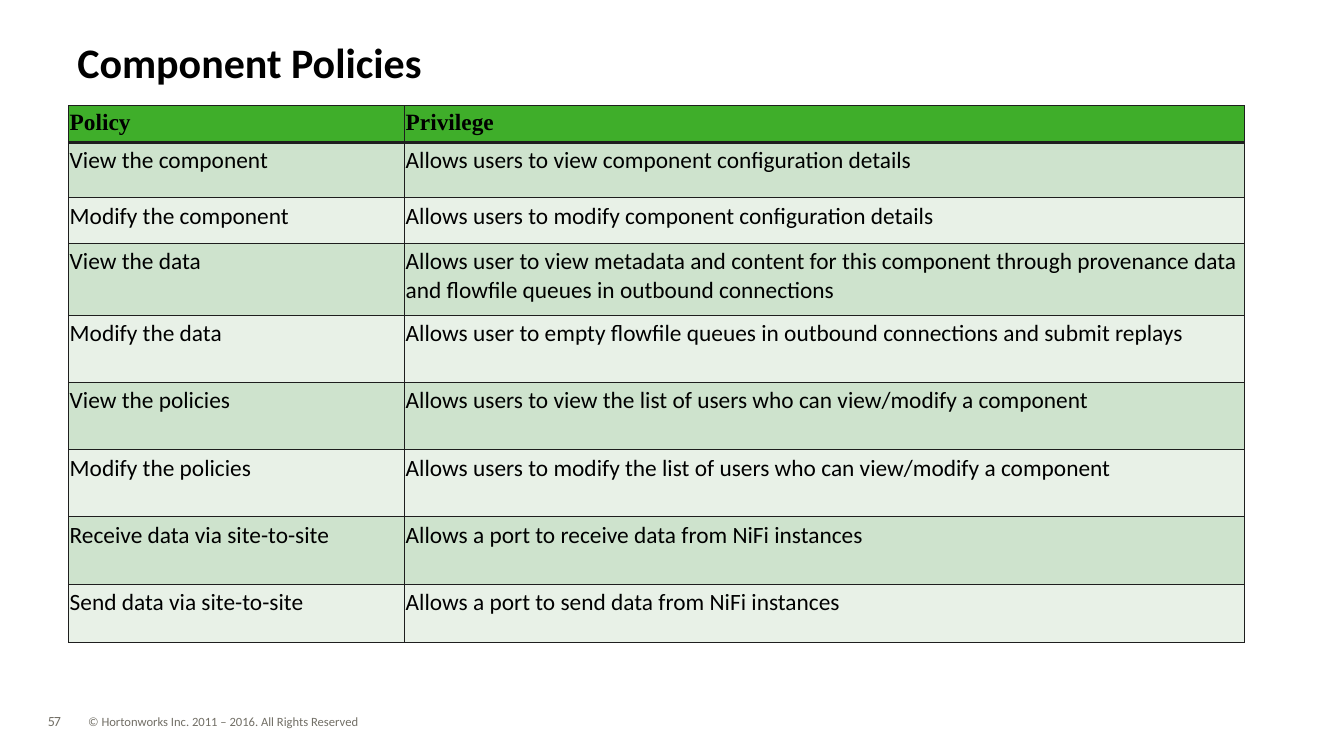
from lxml import etree
from pptx import Presentation
from pptx.dml.color import RGBColor
from pptx.enum.text import MSO_ANCHOR, PP_ALIGN
from pptx.oxml.ns import qn
from pptx.util import Inches, Pt

LEFT = PP_ALIGN.LEFT
TOP, MIDDLE = MSO_ANCHOR.TOP, MSO_ANCHOR.MIDDLE
TITLE_ONLY = 5
COLORS = {
    "text": "000000",
    "footer": "726F66",
    "border": "1E1E1E",
    "header": "3FAE2A",
    "odd_row": "CEE3CD",
    "even_row": "E8F1E7",
}
COLUMN_WIDTHS = [4, 10]
ROW_HEIGHTS = [0.43, 0.66, 0.54, 0.86, 0.8, 0.8, 0.8, 0.8, 0.69]
POLICIES = [
    ("Policy", "Privilege"),
    ("View the component", "Allows users to view component configuration details"),
    ("Modify the component", "Allows users to modify component configuration details"),
    ("View the data", "Allows user to view metadata and content for this component "
     "through provenance data and flowfile queues in outbound connections"),
    ("Modify the data", "Allows user to empty flowfile queues in outbound connections "
     "and submit replays"),
    ("View the policies", "Allows users to view the list of users who can view/modify a component"),
    ("Modify the policies", "Allows users to modify the list of users who can view/modify a component"),
    ("Receive data via site-to-site", "Allows a port to receive data from NiFi instances"),
    ("Send data via site-to-site", "Allows a port to send data from NiFi instances"),
]


class PolicySlide:
    """Hold the slide and its style, and add each kind of element."""

    def __init__(self, presentation):
        self.slide = presentation.slides.add_slide(presentation.slide_layouts[TITLE_ONLY])

    def set_text(self, frame, text, size, color="text", font="Calibri", bold=False, spacing=1.0):
        paragraph = frame.paragraphs[0]
        paragraph.text = text
        paragraph.alignment = LEFT
        paragraph.line_spacing = spacing
        paragraph.font.name = font
        paragraph.font.size = Pt(size)
        paragraph.font.bold = bold
        paragraph.font.color.rgb = RGBColor.from_string(COLORS[color])
        return paragraph

    def clear_margins(self, frame):
        frame.margin_left = frame.margin_right = 0
        frame.margin_top = frame.margin_bottom = 0

    def title(self, text, left, top, width, height):
        shape = self.slide.shapes.title
        shape.left, shape.top = Inches(left), Inches(top)
        shape.width, shape.height = Inches(width), Inches(height)
        frame = shape.text_frame
        self.clear_margins(frame)
        frame.vertical_anchor = MIDDLE
        self.set_text(frame, text, 36, bold=True, spacing=0.85)

    def footer(self, text, left, width, size, wrap=True, spacing=1.0):
        shape = self.slide.shapes.add_textbox(
            Inches(left), Inches(8.5), Inches(width), Inches(0.18))
        frame = shape.text_frame
        self.clear_margins(frame)
        frame.word_wrap = wrap
        return self.set_text(frame, text, size, "footer", spacing=spacing)

    def border(self, cell, side, width):
        line = etree.SubElement(cell._tc.get_or_add_tcPr(), qn(f"a:ln{side}"), w=str(Pt(width)))
        fill = etree.SubElement(line, qn("a:solidFill"))
        etree.SubElement(fill, qn("a:srgbClr"), val=COLORS["border"])

    def cell(self, cell, text, row):
        cell.margin_left = cell.margin_right = Inches(0.01)
        cell.margin_top = cell.margin_bottom = Inches(0.05)
        cell.vertical_anchor = TOP
        for side in "LRTB":
            heavy = (row, side) in ((0, "B"), (1, "T"))
            self.border(cell, side, 3 if heavy else 0.96)
        color = "header" if row == 0 else "odd_row" if row % 2 else "even_row"
        cell.fill.solid()
        cell.fill.fore_color.rgb = RGBColor.from_string(COLORS[color])
        font = "Calibri" if row else "Times New Roman"
        self.set_text(cell.text_frame, text, 20, font=font, bold=row == 0)

    def table(self, rows, left, top):
        table = self.slide.shapes.add_table(
            len(rows), len(COLUMN_WIDTHS), Inches(left), Inches(top),
            Inches(sum(COLUMN_WIDTHS)), Inches(sum(ROW_HEIGHTS))).table
        for column, width in zip(table.columns, COLUMN_WIDTHS):
            column.width = Inches(width)
        for row, (height, texts) in enumerate(zip(ROW_HEIGHTS, rows)):
            table.rows[row].height = Inches(height)
            for column, text in enumerate(texts):
                self.cell(table.cell(row, column), text, row)


def main():
    presentation = Presentation()
    presentation.slide_width, presentation.slide_height = Inches(16), Inches(9)
    page = PolicySlide(presentation)
    number = page.footer("57", 0.57, 0.84, 12, wrap=False, spacing=0.9)
    number.runs[0]._r.get_or_add_rPr().set("spc", "-80")
    page.footer("© Hortonworks Inc. 2011 – 2016. All Rights Reserved", 1.05, 4, 10.8)
    page.title("Component Policies", 0.92, 0.52, 14.4, 0.53)
    page.table(POLICIES, 0.82, 1.26)
    presentation.save("out.pptx")


if __name__ == "__main__":
    main()
